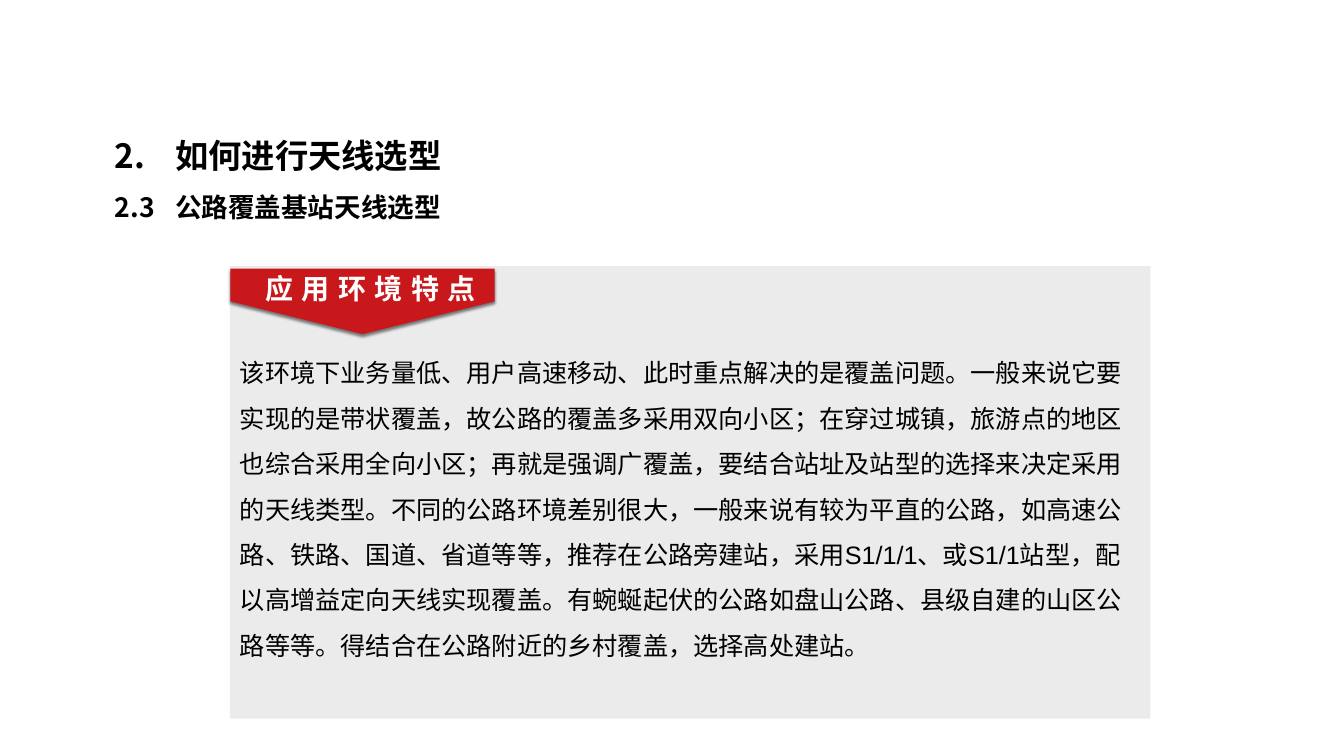
from dataclasses import dataclass

from lxml.etree import SubElement
from pptx import Presentation
from pptx.dml.color import RGBColor
from pptx.enum.shapes import MSO_SHAPE
from pptx.enum.text import MSO_AUTO_SIZE, PP_ALIGN
from pptx.oxml import parse_xml
from pptx.oxml.ns import nsdecls, qn
from pptx.util import Inches, Pt


@dataclass(frozen=True)
class Theme:
    """Colours, fonts and type sizes of the slide."""
    ink: str = "000000"
    paper: str = "FFFFFF"
    panel: str = "D9D9D9"
    accent: str = "C9181C"
    heading_font: str = "Noto Sans CJK SC"
    body_font: str = "Arial"
    chapter_size: float = 23.8
    section_size: float = 19
    label_size: float = 20
    body_size: float = 18


THEME = Theme()
CHAPTER = "2.\t如何进行天线选型"
SECTION = "2.3\t公路覆盖基站天线选型"
LABEL = "应用环境特点"
BODY = (
    "该环境下业务量低、用户高速移动、此时重点解决的是覆盖问题。"
    "一般来说它要实现的是带状覆盖，故公路的覆盖多采用双向小区；"
    "在穿过城镇，旅游点的地区也综合采用全向小区；"
    "再就是强调广覆盖，要结合站址及站型的选择来决定采用的天线类型。"
    "不同的公路环境差别很大，一般来说有较为平直的公路，"
    "如高速公路、铁路、国道、省道等等，推荐在公路旁建站，"
    "采用S1/1/1、或S1/1站型，配以高增益定向天线实现覆盖。"
    "有蜿蜒起伏的公路如盘山公路、县级自建的山区公路等等。"
    "得结合在公路附近的乡村覆盖，选择高处建站。"
)


def add_text_frame(slide, left, top, width, height):
    """Add a wrapping text box and return its text frame."""
    box = slide.shapes.add_textbox(Inches(left), Inches(top), Inches(width), Inches(height))
    frame = box.text_frame
    frame.word_wrap = True
    frame.auto_size = MSO_AUTO_SIZE.SHAPE_TO_FIT_TEXT
    return frame


def write(paragraph, text, size, font_name, color, bold=False, tab=None, tracking=None):
    """Fill a paragraph with text in one style."""
    paragraph.text = text
    properties = paragraph._p.get_or_add_pPr()
    if tab:
        tabs = SubElement(properties, qn("a:tabLst"))
        SubElement(tabs, qn("a:tab"), pos=str(Inches(tab)), algn="l")
    font = paragraph.font
    font.size = Pt(size)
    font.bold = bold
    font.color.rgb = RGBColor.from_string(color)
    font.name = font_name
    defaults = properties.find(qn("a:defRPr"))
    SubElement(defaults, qn("a:ea"), typeface=THEME.heading_font)
    if tracking:
        defaults.set("spc", str(tracking * 100))


def add_block(slide, preset, left, top, width, height, color):
    """Add a borderless filled shape without a shadow."""
    block = slide.shapes.add_shape(
        preset, Inches(left), Inches(top), Inches(width), Inches(height))
    block.shadow.inherit = False
    block.fill.solid()
    block.fill.fore_color.rgb = RGBColor.from_string(color)
    block.line.fill.background()
    return block


def set_transparency(block, percent):
    """Make the solid fill of a shape partly transparent."""
    color = block._element.spPr.find(qn("a:solidFill")).find(qn("a:srgbClr"))
    SubElement(color, qn("a:alpha"), val=str((100 - percent) * 1000))


def cast_shadow(block):
    """Drop a soft shadow straight below a shape."""
    effects = block._element.spPr.find(qn("a:effectLst"))
    effects.append(parse_xml(
        f'<a:outerShdw {nsdecls("a")} blurRad="{Pt(2)}" dist="{Pt(2)}" dir="5400000" '
        f'algn="t" rotWithShape="0"><a:srgbClr val="{THEME.ink}">'
        '<a:alpha val="50000"/></a:srgbClr></a:outerShdw>'))


def add_headings(slide):
    """Add the chapter and section headings."""
    frame = add_text_frame(slide, 1.04, 1.09, 4.02, 1.18)
    headings = ((frame.paragraphs[0], CHAPTER, THEME.chapter_size),
                (frame.add_paragraph(), SECTION, THEME.section_size))
    for heading, text, size in headings:
        write(heading, text, size, THEME.heading_font, THEME.ink, bold=True, tab=0.6)
        heading.line_spacing = 1.5


def add_panel(slide):
    """Add the grey panel with its ribbon label and description."""
    panel = add_block(slide, MSO_SHAPE.RECTANGLE, 2.28, 2.64, 9.13, 4.49, THEME.panel)
    set_transparency(panel, 50)

    ribbon = add_block(slide, MSO_SHAPE.PENTAGON, 3.27, 1.68, 0.65, 2.62, THEME.accent)
    ribbon.rotation = 90
    cast_shadow(ribbon)

    label = add_text_frame(slide, 2.41, 2.64, 2.53, 0.44).paragraphs[0]
    write(label, LABEL, THEME.label_size, THEME.heading_font, THEME.paper,
          bold=True, tracking=6)
    label.alignment = PP_ALIGN.CENTER

    description = add_text_frame(slide, 2.28, 3.35, 8.95, 3.28).paragraphs[0]
    write(description, BODY, THEME.body_size, THEME.body_font, THEME.ink)
    description.line_spacing = 1.5


def main():
    """Build and save the slide."""
    deck = Presentation()
    deck.slide_width = Inches(13.33)
    deck.slide_height = Inches(7.5)
    slide = deck.slides.add_slide(deck.slide_layouts[6])
    add_headings(slide)
    add_panel(slide)
    deck.save("out.pptx")


if __name__ == "__main__":
    main()
